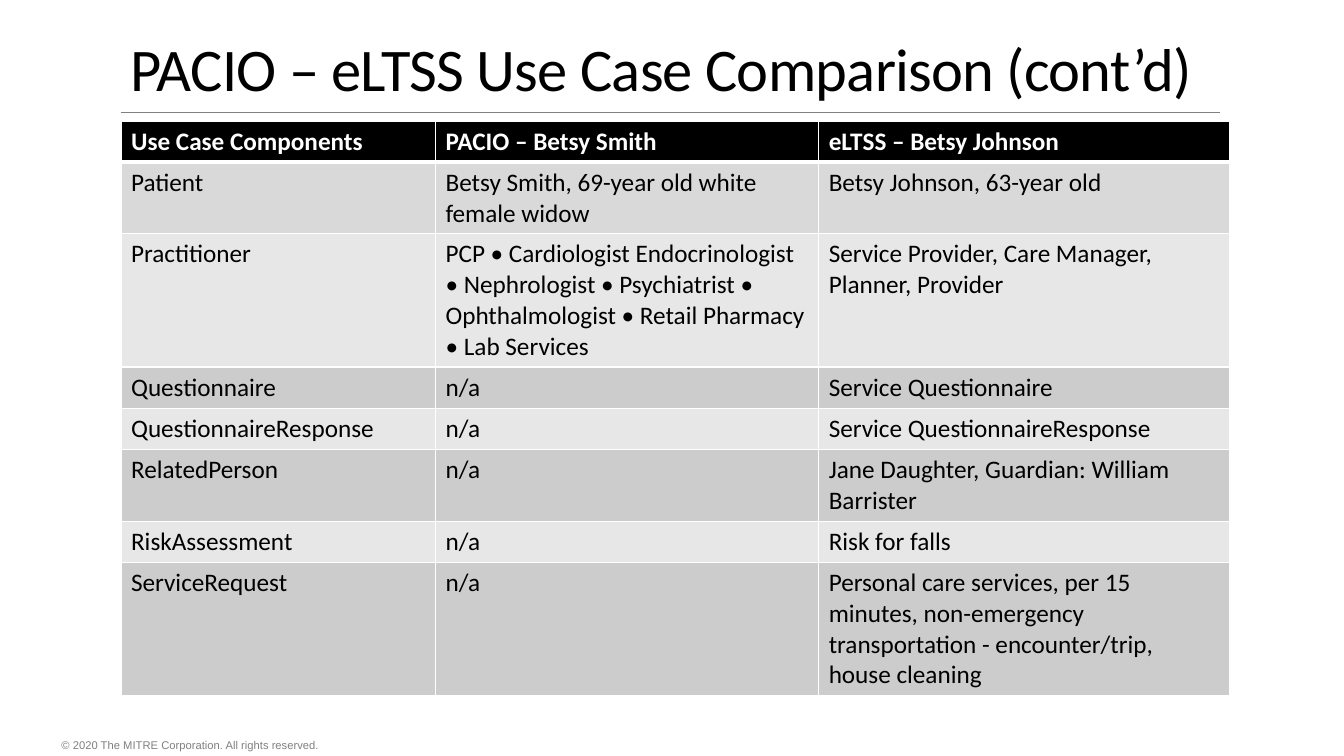
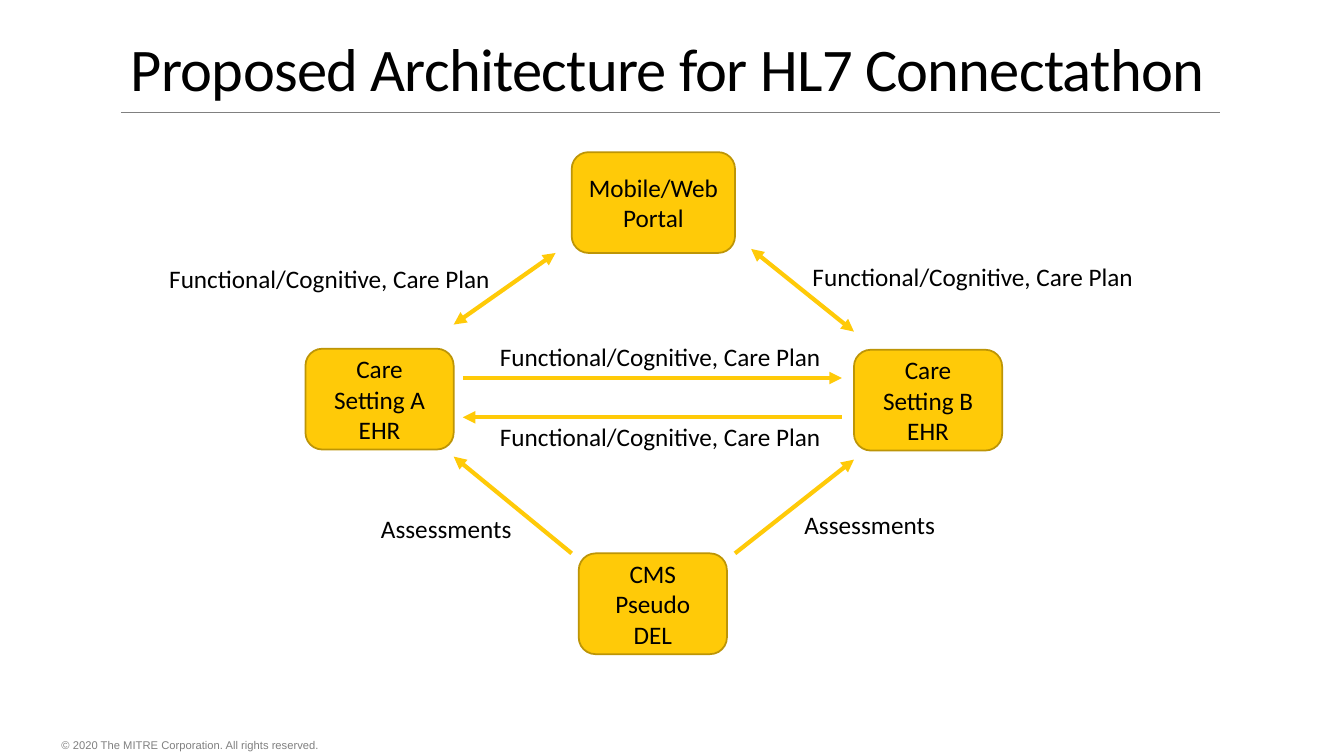
from lxml.etree import SubElement
from pptx import Presentation
from pptx.dml.color import RGBColor
from pptx.enum.shapes import MSO_CONNECTOR as Connector, MSO_SHAPE as Shape
from pptx.enum.text import MSO_ANCHOR as Anchor, MSO_AUTO_SIZE as AutoSize, PP_ALIGN as Align
from pptx.oxml import parse_xml
from pptx.oxml.ns import nsdecls, qn
from pptx.util import Emu, Pt

PX = 9144  # 100 px to the inch
BLACK = RGBColor(0x00, 0x00, 0x00)
WHITE = RGBColor(0xFF, 0xFF, 0xFF)
GRAY = RGBColor(0x80, 0x80, 0x80)
GOLD = RGBColor(0xFF, 0xCA, 0x08)
DARK_GOLD = RGBColor(0xBD, 0x95, 0x06)
FIRST_BAND = RGBColor(0xD9, 0xD9, 0xD9)
LIGHT_BAND = RGBColor(0xE7, 0xE7, 0xE7)
DARK_BAND = RGBColor(0xCC, 0xCC, 0xCC)

FOOTER = "© 2020 The MITRE Corporation. All rights reserved."
CARE_PLAN = "Functional/Cognitive, Care Plan"
ASSESSMENTS = "Assessments"

USE_CASES = [
    ("Use Case Components", "PACIO – Betsy Smith", "eLTSS – Betsy Johnson"),
    ("Patient", "Betsy Smith, 69-year old white female widow", "Betsy Johnson, 63-year old"),
    ("Practitioner",
     "PCP • Cardiologist Endocrinologist • Nephrologist • Psychiatrist • "
     "Ophthalmologist • Retail Pharmacy • Lab Services",
     "Service Provider, Care Manager, Planner, Provider"),
    ("Questionnaire", "n/a", "Service Questionnaire"),
    ("QuestionnaireResponse", "n/a", "Service QuestionnaireResponse"),
    ("RelatedPerson", "n/a", "Jane Daughter, Guardian: William Barrister"),
    ("RiskAssessment", "n/a", "Risk for falls"),
    ("ServiceRequest", "n/a",
     "Personal care services, per 15 minutes, non-emergency transportation - "
     "encounter/trip, house cleaning"),
]


def px(*lengths):
    return [Emu(length * PX) for length in lengths]


def write(frame, text, size=18, font="Calibri", color=BLACK, bold=False,
          align=Align.LEFT, line_spacing=None, tracking=None):
    paragraph = frame.paragraphs[0]
    paragraph.alignment = align
    paragraph.line_spacing = line_spacing
    run = paragraph.add_run()
    run.text = text
    run.font.size = Pt(size)
    run.font.name = font
    run.font.bold = bold
    run.font.color.rgb = color
    if tracking is not None:
        run.font._element.set("spc", str(int(tracking * 100)))


def set_borders(cell, top=1, bottom=1):
    """Draw white borders, with widths in points."""
    properties = cell._tc.get_or_add_tcPr()
    widths = {"lnL": 1, "lnR": 1, "lnT": top, "lnB": bottom}
    for index, (side, width) in enumerate(widths.items()):
        properties.insert(index, parse_xml(
            f'<a:{side} {nsdecls("a")} w="{Pt(width)}"><a:solidFill>'
            f'<a:srgbClr val="{WHITE}"/></a:solidFill></a:{side}>'))


class Deck:
    def __init__(self):
        self.presentation = Presentation()
        self.presentation.slide_width, self.presentation.slide_height = px(1333, 750)
        self.slide = None

    def new_slide(self, title):
        """Start a slide with the shared rule, footer and title."""
        self.slide = self.presentation.slides.add_slide(self.presentation.slide_layouts[6])
        self.line((120, 111), (1210, 111), color=GRAY, width=0.5)
        self.text((61, 728, 824, 22), FOOTER, anchor=Anchor.MIDDLE, inset=False,
                  size=8, font="Arial", color=GRAY)
        self.text((120, 31, 1100, 77), title, anchor=Anchor.BOTTOM,
                  size=43.2, line_spacing=0.85, tracking=-0.5)

    def text(self, box, text, anchor=Anchor.TOP, inset=True, wrap=True, **style):
        frame = self.slide.shapes.add_textbox(*px(*box)).text_frame
        frame.word_wrap = wrap
        frame.auto_size = AutoSize.NONE if wrap else AutoSize.SHAPE_TO_FIT_TEXT
        frame.vertical_anchor = anchor
        if not inset:
            frame.margin_left = frame.margin_right = frame.margin_top = frame.margin_bottom = 0
        write(frame, text, **style)

    def label(self, left, top, width, text):
        self.text((left, top, width, 40), text, wrap=False)

    def line(self, start, end, color=GOLD, width=3, head=False, tail=False):
        line = self.slide.shapes.add_connector(Connector.STRAIGHT, *px(*start, *end))
        line.line.color.rgb = color
        line.line.width = Pt(width)
        outline = line.line._get_or_add_ln()
        for tag, shown in (("a:headEnd", head), ("a:tailEnd", tail)):
            if shown:
                SubElement(outline, qn(tag), type="triangle")
        SubElement(line._element.spPr, qn("a:effectLst"))

    def node(self, left, top, width, text):
        shape = self.slide.shapes.add_shape(Shape.ROUNDED_RECTANGLE, *px(left, top, width, 100))
        shape.shadow.inherit = False
        shape.fill.solid()
        shape.fill.fore_color.rgb = GOLD
        shape.line.color.rgb = DARK_GOLD
        shape.line.width = Pt(1.25)
        shape.text_frame.word_wrap = True
        shape.text_frame.vertical_anchor = Anchor.MIDDLE
        write(shape.text_frame, text, align=Align.CENTER)

    def table(self, left, top, column_widths, row_heights, rows):
        table = self.slide.shapes.add_table(
            len(rows), len(column_widths),
            *px(left, top, sum(column_widths), sum(row_heights))).table
        for column, width in zip(table.columns, px(*column_widths)):
            column.width = width
        for row, height in zip(table.rows, px(*row_heights)):
            row.height = height
        for row_index, values in enumerate(rows):
            header = row_index == 0
            band = LIGHT_BAND if row_index % 2 == 0 else DARK_BAND
            fill = {0: BLACK, 1: FIRST_BAND}.get(row_index, band)
            for column_index, value in enumerate(values):
                cell = table.cell(row_index, column_index)
                cell.fill.solid()
                cell.fill.fore_color.rgb = fill
                set_borders(cell, top=3 if row_index == 1 else 1, bottom=3 if header else 1)
                write(cell.text_frame, value, bold=header, color=WHITE if header else BLACK)


def build_comparison(deck):
    deck.new_slide("PACIO – eLTSS Use Case Comparison (cont’d)")
    deck.table(120, 120, (312, 380, 408), (41, 70, 130, 41, 41, 70, 41, 100), USE_CASES)


def build_architecture(deck):
    deck.new_slide("Proposed Architecture for HL7 Connectathon")
    for node in ((303, 346, 147, "Care Setting A EHR"),
                 (847, 347, 147, "Care Setting B EHR"),
                 (574, 549, 147, "CMS Pseudo DEL"),
                 (567, 151, 162, "Mobile/Web Portal")):
        deck.node(*node)
    for start, end in (((459, 375), (835, 375)), ((835, 414), (459, 414)),
                       ((567, 549), (450, 453)), ((729, 549), (847, 456))):
        deck.line(start, end, tail=True)
    for start, end in (((450, 322), (551, 251)), ((745, 247), (847, 329))):
        deck.line(start, end, head=True, tail=True)
    for left, top in ((486, 334), (486, 413), (796, 254), (158, 256)):
        deck.label(left, top, 342, CARE_PLAN)
    for left, top in ((788, 500), (368, 504)):
        deck.label(left, top, 151, ASSESSMENTS)


def main():
    deck = Deck()
    build_comparison(deck)
    build_architecture(deck)
    deck.presentation.save("out.pptx")


if __name__ == "__main__":
    main()
